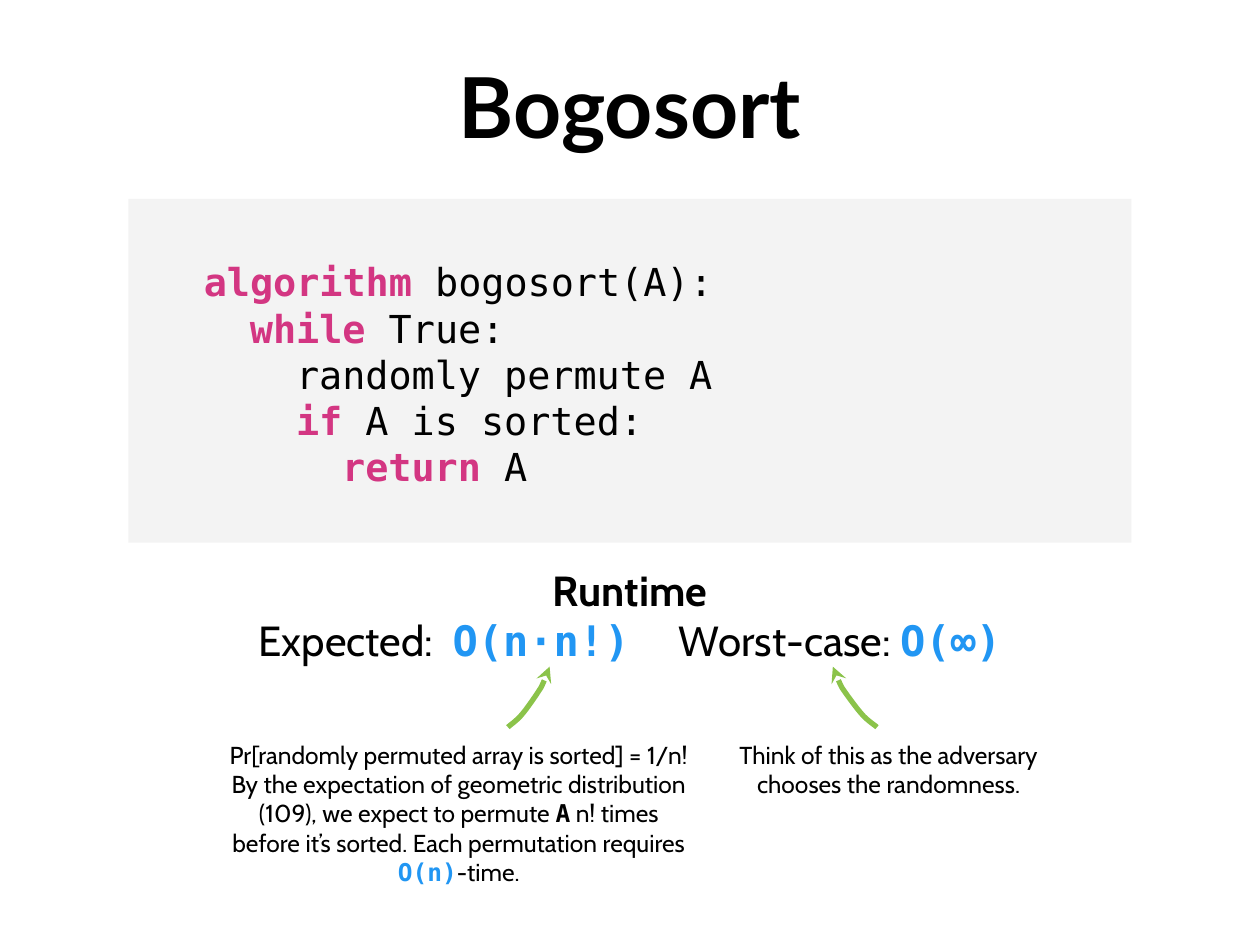
import pptx
import pptx.dml.color
import pptx.enum.shapes
import pptx.enum.text
import pptx.oxml
import pptx.oxml.ns
import pptx.util

Cm = pptx.util.Cm
Pt = pptx.util.Pt
ALIGN = pptx.enum.text.PP_ALIGN

COLORS = {"text": "000000", "panel": "F3F3F3", "keyword": "D33682",
          "math": "2196F3", "arrow": "8BC34A"}
MONO, SANS, HEAD = "DejaVu Sans Mono", "Cabin", "Lato"

STYLES = {
    "title": (HEAD, "text", True),
    "plain": (SANS, "text", False),
    "strong": (SANS, "text", True),
    "code": (MONO, "text", False),
    "keyword": (MONO, "keyword", True),
    "name": (MONO, "text", True),
    "math": (MONO, "math", True),
}

ARROW_CURVES = [
    ((0, 0), (0.06, 0.04), (0.24, 0.12), (0.36, 0.23)),
    ((0.36, 0.23), (0.48, 0.33), (0.67, 0.52), (0.79, 0.65)),
    ((0.79, 0.65), (0.88, 0.77), (0.97, 0.94), (1, 1)),
]


def bezier(curve, t):
    weights = ((1 - t) ** 3, 3 * t * (1 - t) ** 2, 3 * t * t * (1 - t), t ** 3)
    return tuple(sum(w * pt[axis] for w, pt in zip(weights, curve)) for axis in (0, 1))


class SlideBuilder:
    def __init__(self, slide):
        self.s = slide

    def color(self, name):
        return pptx.dml.color.RGBColor.from_string(COLORS[name])

    def frame(self, sp, top_inset=0.25):
        tf = sp.text_frame
        tf.word_wrap = True
        tf.auto_size = pptx.enum.text.MSO_AUTO_SIZE.NONE
        tf.vertical_anchor = pptx.enum.text.MSO_ANCHOR.TOP
        tf.margin_left = tf.margin_right = tf.margin_bottom = Cm(0.25)
        tf.margin_top = Cm(top_inset)
        return tf

    def add_runs(self, tf, paragraphs, size, align=ALIGN.CENTER, indents=()):
        for i, runs in enumerate(paragraphs):
            p = tf.paragraphs[0] if i == 0 else tf.add_paragraph()
            p.alignment = align
            if indents:
                p._p.get_or_add_pPr().set("marL", str(Cm(indents[i])))
            for text, style, *gap in runs:
                r = p.add_run()
                r.text = text
                r.font.size = Pt(size)
                r.font.name, color, r.font.bold = STYLES[style]
                r.font.color.rgb = self.color(color)
                if gap:
                    r._r.get_or_add_rPr().set("spc", str(gap[0]))

    def title(self, text, x, y, w, h):
        sp = self.s.shapes.title
        sp.left, sp.top, sp.width, sp.height = Cm(x), Cm(y), Cm(w), Cm(h)
        self.add_runs(self.frame(sp), [[(text, "title")]], 48)

    def code(self, lines, x, y, w, h):
        sp = self.s.shapes.add_shape(pptx.enum.shapes.MSO_SHAPE.RECTANGLE,
                                     Cm(x), Cm(y), Cm(w), Cm(h))
        sp.shadow.inherit = False
        sp.fill.solid()
        sp.fill.fore_color.rgb = self.color("panel")
        sp.line.fill.background()
        indents = [1.27 + 0.93 * level for level, _ in lines]
        self.add_runs(self.frame(sp, 1.2), [runs for _, runs in lines], 22,
                      ALIGN.LEFT, indents)

    def text(self, paragraphs, size, x, y, w, h):
        sp = self.s.shapes.add_textbox(Cm(x), Cm(y), Cm(w), Cm(h))
        self.add_runs(self.frame(sp), paragraphs, size)

    def arrow(self, x, y, dx, dy):
        points = [bezier(curve, k / 6) for curve in ARROW_CURVES for k in range(1, 7)]
        fb = self.s.shapes.build_freeform(Cm(x), Cm(y))
        fb.add_line_segments([(Cm(x + dx * u), Cm(y + dy * v)) for u, v in points],
                             close=False)
        sp = fb.convert_to_shape()
        sp.shadow.inherit = False
        sp.fill.background()
        sp.line.color.rgb = self.color("arrow")
        sp.line.width = Pt(3)
        ln = sp.line._get_or_add_ln()
        ln.append(pptx.oxml.parse_xml(
            f'<a:tailEnd {pptx.oxml.ns.nsdecls("a")} type="stealth"/>'))


def main():
    prs = pptx.Presentation()
    prs.slide_width, prs.slide_height = Cm(25.4), Cm(19.05)
    b = SlideBuilder(prs.slides.add_slide(prs.slide_layouts[5]))

    b.title("Bogosort", 0, 0.84, 25.4, 3.18)
    b.code([
        (0, [("algorithm", "keyword"), (" bogosort(A):", "code")]),
        (1, [("while", "keyword"), (" True:", "code")]),
        (2, [("randomly permute A", "code")]),
        (2, [("if", "keyword"), (" A is sorted:", "code")]),
        (3, [("return", "keyword"), (" A", "code")]),
    ], 2.59, 4.01, 20.22, 6.93)
    b.text([
        [("Runtime", "strong")],
        [("Expected:", "plain"), (" ", "plain", 570), ("O(n⋅n!)", "math"),
         (" ", "plain", 2280), ("Worst-case: ", "plain"), ("O(∞)", "math")],
    ], 24, 2.59, 11.13, 20.22, 2.9)

    b.arrow(10.24, 14.66, 0.84, -1.22)
    b.text([
        [("Pr[randomly permuted array is sorted] = 1/n!", "plain")],
        [("By the expectation of geometric distribution (109), we expect to permute ", "plain"),
         ("A", "name"),
         (" n! times before it’s sorted. Each permutation requires ", "plain"),
         ("O(n)", "math"), ("-time.", "plain")],
    ], 14, 4.27, 14.66, 9.96, 3.76)

    b.arrow(17.68, 14.66, -0.89, -1.22)
    b.text([[("Think of this as the adversary chooses the randomness.", "plain")]],
           14, 14.45, 14.66, 6.93, 3.76)

    prs.save("out.pptx")


if __name__ == "__main__":
    main()
